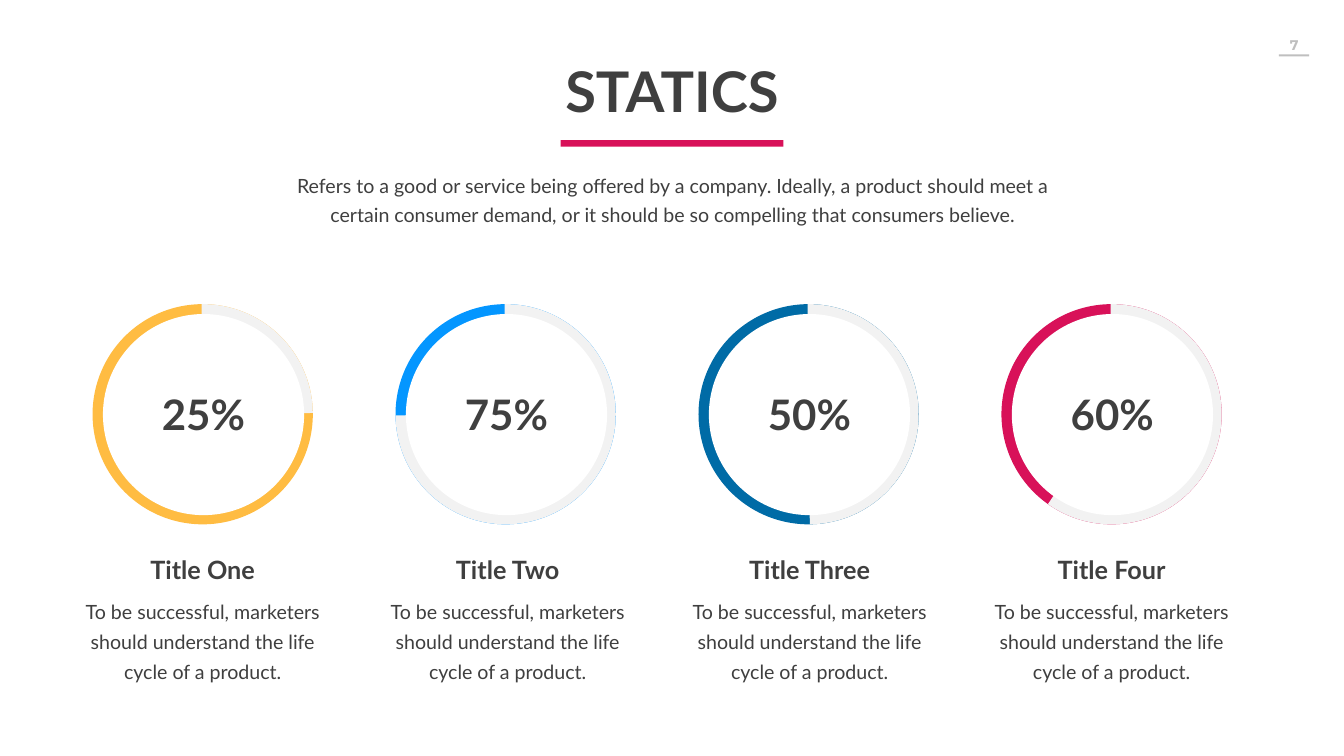
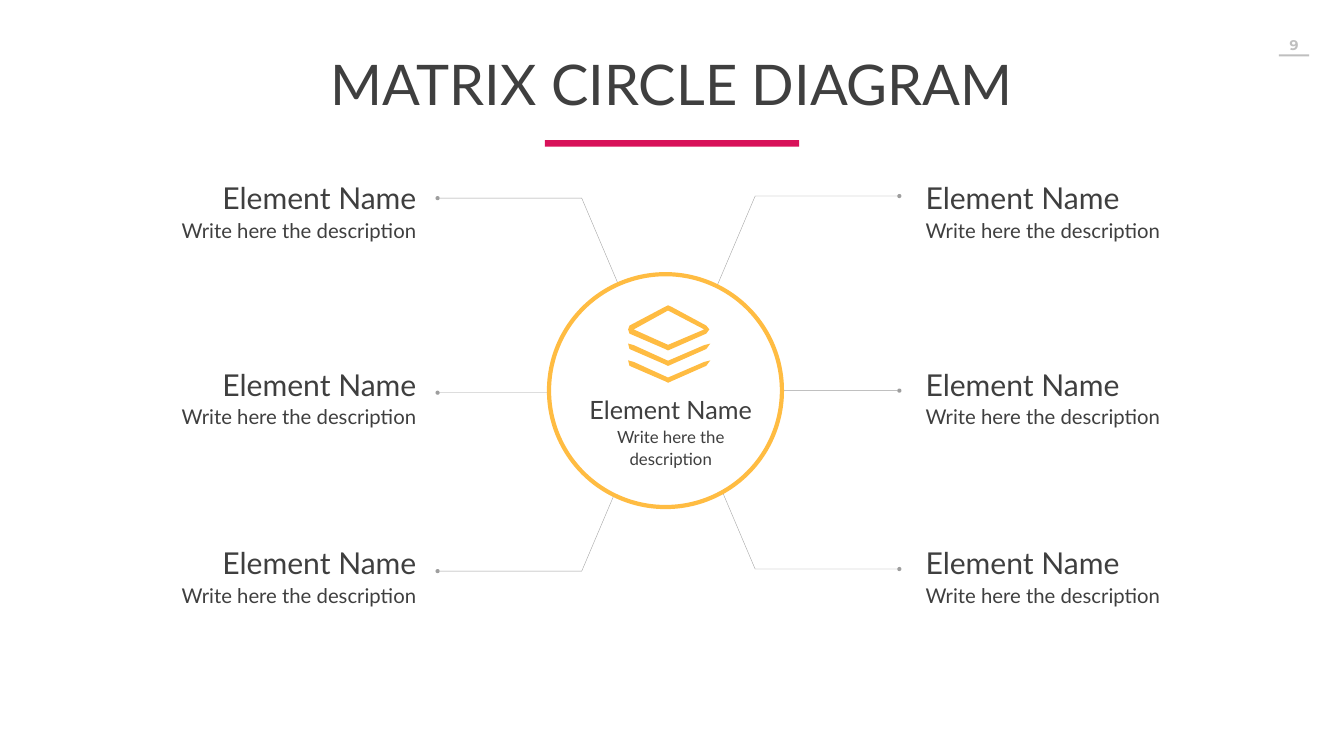
"""Build two slides: a row of percentage rings and a matrix circle diagram."""
from lxml import etree
from pptx import Presentation
from pptx.dml.color import RGBColor
from pptx.enum.shapes import MSO_CONNECTOR, MSO_SHAPE
from pptx.enum.text import MSO_AUTO_SIZE, PP_ALIGN
from pptx.oxml.ns import qn
from pptx.util import Pt

LEFT, CENTER, RIGHT = PP_ALIGN.LEFT, PP_ALIGN.CENTER, PP_ALIGN.RIGHT
RECTANGLE, OVAL, ARC = MSO_SHAPE.RECTANGLE, MSO_SHAPE.OVAL, MSO_SHAPE.ARC
STRAIGHT = MSO_CONNECTOR.STRAIGHT
GROW = MSO_AUTO_SIZE.SHAPE_TO_FIT_TEXT

WHITE = RGBColor(0xFF, 0xFF, 0xFF)
DARK = RGBColor(0x3F, 0x3F, 0x3F)
PAGE_GRAY = RGBColor(0xBF, 0xBF, 0xBF)
TRACK_GRAY = RGBColor(0xF2, 0xF2, 0xF2)
YELLOW = RGBColor(0xFF, 0xBC, 0x42)
BLUE = RGBColor(0x04, 0x96, 0xFF)
NAVY = RGBColor(0x00, 0x6B, 0xA6)
CRIMSON = RGBColor(0xD8, 0x11, 0x59)

SLIDE_W, SLIDE_H = 1919.52, 1080
BODY_FONT, PAGE_FONT = "Lato", "Montserrat"

INTRO = ("Refers to a good or service being offered by a company. Ideally, a product "
         "should meet a certain consumer demand, or it should be so compelling that "
         "consumers believe.")
RING_NOTE = "To be successful, marketers should understand the life cycle of a product."
RINGS = [
    ("Title One", 25, YELLOW, 123.12),
    ("Title Two", 75, BLUE, 558.72),
    ("Title Three", 50, NAVY, 990),
    ("Title Four", 60, CRIMSON, 1421.28),
]
RING_LEFT, RING_TOP, RING_SIZE, RING_PITCH = 144.72, 447, 289.6, 432.7
RING_WEIGHT, ARC_START = 25, 269.4

ELEMENT = ("Element Name", "Write here the description")
ELEMENT_TOPS = [244.08, 510.48, 766.08]
ELEMENT_SIDES = [(-1, 237.6, RIGHT, 561), (1, 1321.92, LEFT, 558)]
SPOKE_CENTER = 954.72
SPOKES = [
    [(18, -28.5), (123.84, -277.92), (329.76, -277.92)],
    [(18, 5.4), (123.84, 254.88), (329.76, 254.88)],
    [(162, 0), (329.76, 0)],
]
ICON_LEFT, ICON_TOP = 897.12, 435.6
SHEET_EDGE = [(2, 41), (52, 62.6), (57, 65), (62.6, 62.6), (111.6, 41), (116, 35),
              (111.6, 29.5), (62.6, 3), (57, 0.5), (52, 3), (2, 29.5), (0, 35)]
SHEET_HOLE = [(57, 8), (108.7, 35), (57, 57), (8, 35)]
LOWER_SHEET = [(57, 103.7), (8, 81.4), (0, 79.2), (2, 87), (52, 108.7), (57, 111.2),
               (62.6, 108.7), (111.6, 87), (117.4, 79.2), (108.7, 81.4)]
MIDDLE_SHEET = [(x, y - 24) for x, y in LOWER_SHEET]


def assign(target, **values):
    for attribute, value in values.items():
        setattr(target, attribute, value)


def add_words(slide, box, lines, align=CENTER, bold=False, color=DARK, font=BODY_FONT,
              spacing=None, insets=(7.2, 3.6), wrap=True):
    frame = slide.shapes.add_textbox(*map(Pt, box)).text_frame
    side, end = map(Pt, insets)
    assign(frame, margin_left=side, margin_right=side, margin_top=end,
           margin_bottom=end, word_wrap=wrap, auto_size=GROW)
    for index, (words, size) in enumerate(lines):
        paragraph = frame.add_paragraph() if index else frame.paragraphs[0]
        assign(paragraph, text=words, alignment=align, line_spacing=spacing)
        assign(paragraph.runs[0].font, name=font, size=Pt(size), bold=bold)
        paragraph.runs[0].font.color.rgb = color


def paint(shape, fill=None, line=None, weight=0):
    shape.shadow.inherit = False
    if fill is None:
        shape.fill.background()
    else:
        shape.fill.solid()
        shape.fill.fore_color.rgb = fill
    if line is None:
        shape.line.fill.background()
    else:
        shape.line.color.rgb = line
        shape.line.width = Pt(weight)
    return shape


def add_preset(slide, preset, box, **paints):
    return paint(slide.shapes.add_shape(preset, *map(Pt, box)), **paints)


def draw_outline(slide, contours, close):
    contours = [[(Pt(x), Pt(y)) for x, y in contour] for contour in contours]
    builder = slide.shapes.build_freeform(*contours[0][0])
    for index, contour in enumerate(contours):
        if index:
            builder.move_to(*contour[0])
        builder.add_line_segments(contour[1:], close=close)
    return builder.convert_to_shape()


def add_spoke(slide, points):
    if len(points) == 2:
        (x1, y1), (x2, y2) = points
        spoke = slide.shapes.add_connector(STRAIGHT, Pt(x1), Pt(y1), Pt(x2), Pt(y2))
        spoke.line.color.rgb = DARK
        spoke.line.width = Pt(0.5)
        etree.SubElement(spoke.element.spPr, qn("a:effectLst"))
    else:
        spoke = paint(draw_outline(slide, [points], False), line=DARK, weight=0.5)
    outline = spoke.element.spPr.find(qn("a:ln"))
    color = outline.find(".//" + qn("a:srgbClr"))
    etree.SubElement(color, qn("a:alpha"), val="50000")
    etree.SubElement(outline, qn("a:tailEnd"), type="oval")


def start_slide(deck, number, title, title_size, bar_width, **title_format):
    slide = deck.slides.add_slide(deck.slide_layouts[6])
    add_words(slide, (1774.44, 44.64, 147.6, 38.88), [(number, 20)], bold=True,
              color=PAGE_GRAY, font=PAGE_FONT, insets=(14.4, 7.2), wrap=False)
    add_preset(slide, RECTANGLE, (1826.64, 77.76, 43.2, 2.88), fill=PAGE_GRAY)
    add_preset(slide, RECTANGLE, ((SLIDE_W - bar_width) / 2, 200.16, bar_width, 9.36),
               fill=CRIMSON)
    width, height = title_size
    add_words(slide, ((SLIDE_W - width) / 2, 77.76, width, height), [(title, 80)],
              **title_format)
    return slide


def build_statics(deck):
    slide = start_slide(deck, "7", "STATICS", (480.96, 103.68), 318.24, bold=True)
    add_words(slide, (410.4, 238.32, 1100.16, 88.56), [(INTRO, 28)], spacing=Pt(40.7))
    for index, (title, percent, color, label_left) in enumerate(RINGS):
        left = RING_LEFT + index * RING_PITCH
        ring = (left, RING_TOP, RING_SIZE, RING_SIZE)
        add_preset(slide, OVAL, ring, fill=WHITE, line=color, weight=RING_WEIGHT)
        track = add_preset(slide, ARC, ring, line=TRACK_GRAY, weight=RING_WEIGHT)
        arc_end = (ARC_START + 3.6 * percent) % 360
        for handle, angle in enumerate((ARC_START, arc_end)):
            track.adjustments[handle] = angle * 0.6
        add_preset(slide, OVAL, (left + 2.3, RING_TOP + 1.6, 287.3, 287.3), fill=WHITE)
        add_words(slide, (left + 79.2, 551.52, 133.2, 79.2), [(f"{percent}%", 60)],
                  bold=True, wrap=False)
        add_words(slide, (label_left, 787.68, 332.64, 50.4), [(title, 36)], bold=True)
        add_words(slide, (label_left - 9.36, 843.84, 351.36, 136.08), [(RING_NOTE, 28)],
                  spacing=Pt(43))


def build_matrix(deck):
    slide = start_slide(deck, "9", "MATRIX CIRCLE DIAGRAM", (1697.76, 93.6), 362.88,
                        spacing=0.9)
    element_format = {"spacing": 1.1, "insets": (0, 7.2)}
    for direction, text_left, align, middle in ELEMENT_SIDES:
        for spoke in SPOKES:
            add_spoke(slide, [(SPOKE_CENTER + direction * x, middle + y)
                              for x, y in spoke])
        for top in ELEMENT_TOPS:
            add_words(slide, (text_left, top, 357.12, 109.44), zip(ELEMENT, (43, 29)),
                      align=align, **element_format)
    add_preset(slide, OVAL, (784.08, 391.68, 332.64, 332.64), fill=WHITE, line=YELLOW,
               weight=6)
    layers = [[(ICON_LEFT + x, ICON_TOP + y) for x, y in contour]
              for contour in (SHEET_EDGE, SHEET_HOLE, MIDDLE_SHEET, LOWER_SHEET)]
    paint(draw_outline(slide, layers, True), fill=YELLOW)
    add_words(slide, (823.68, 551.52, 268.56, 125.28), zip(ELEMENT, (36, 24)),
              **element_format)


def main():
    deck = Presentation()
    assign(deck, slide_width=Pt(SLIDE_W), slide_height=Pt(SLIDE_H))
    build_statics(deck)
    build_matrix(deck)
    deck.save("out.pptx")


if __name__ == "__main__":
    main()
